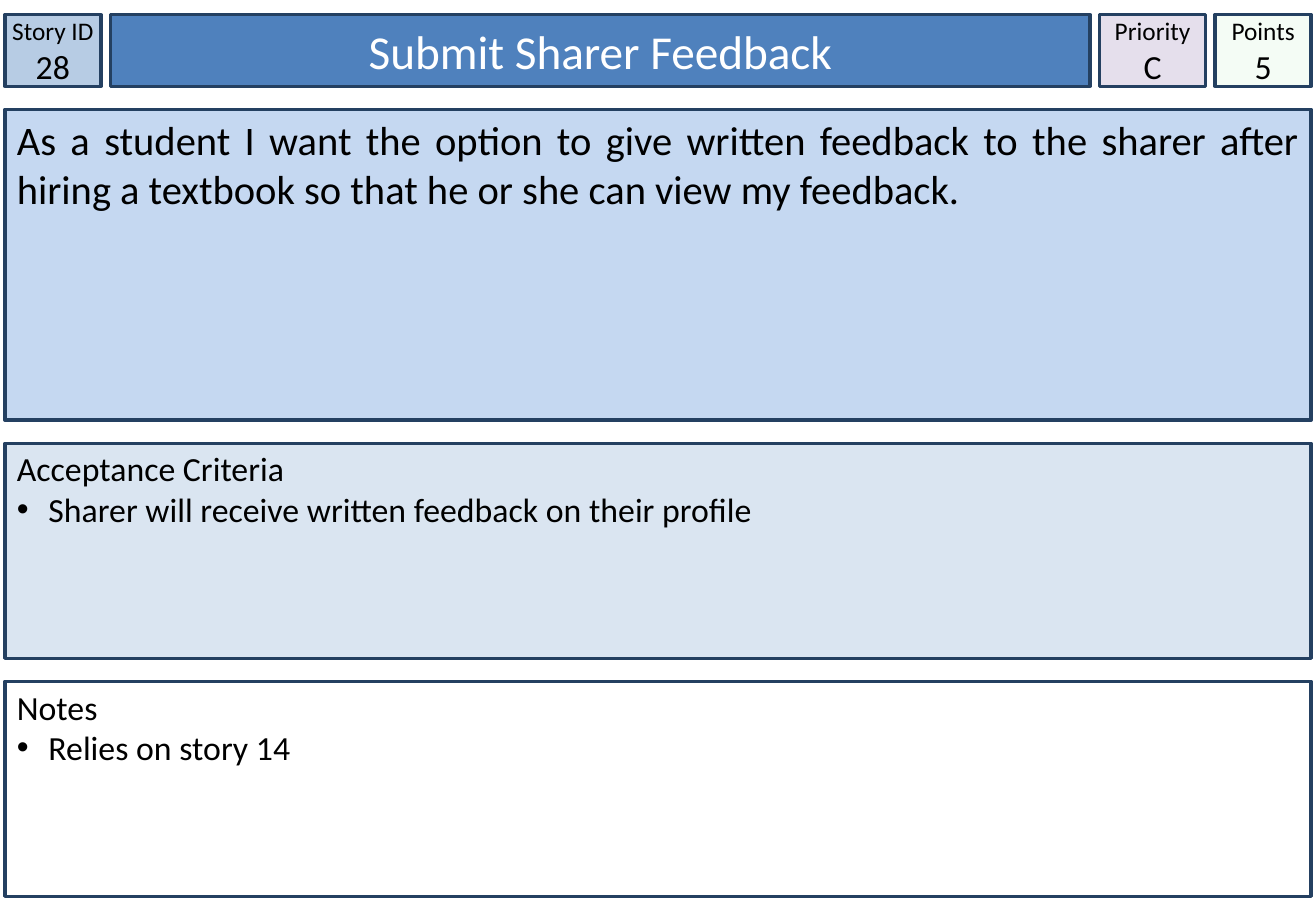
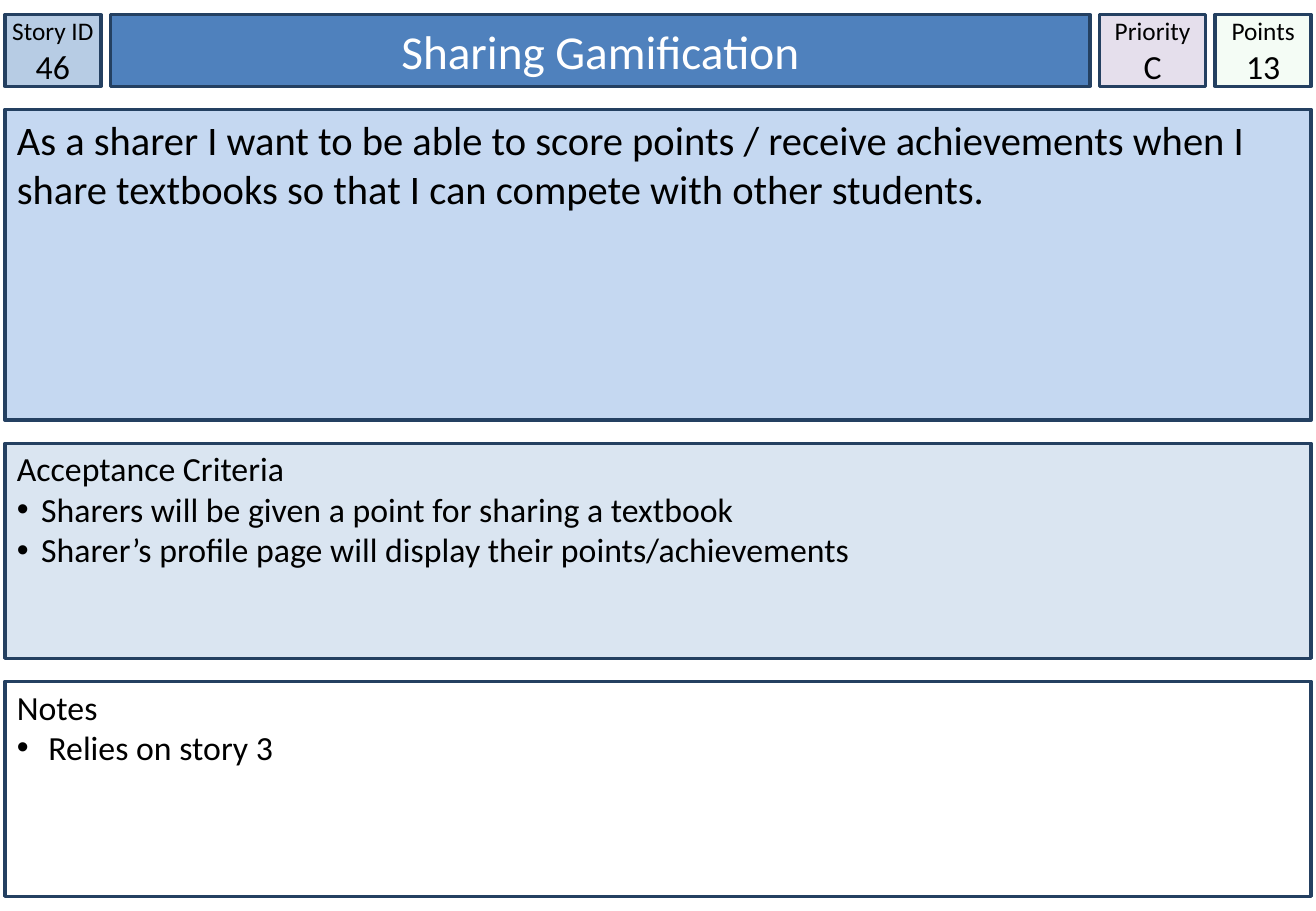
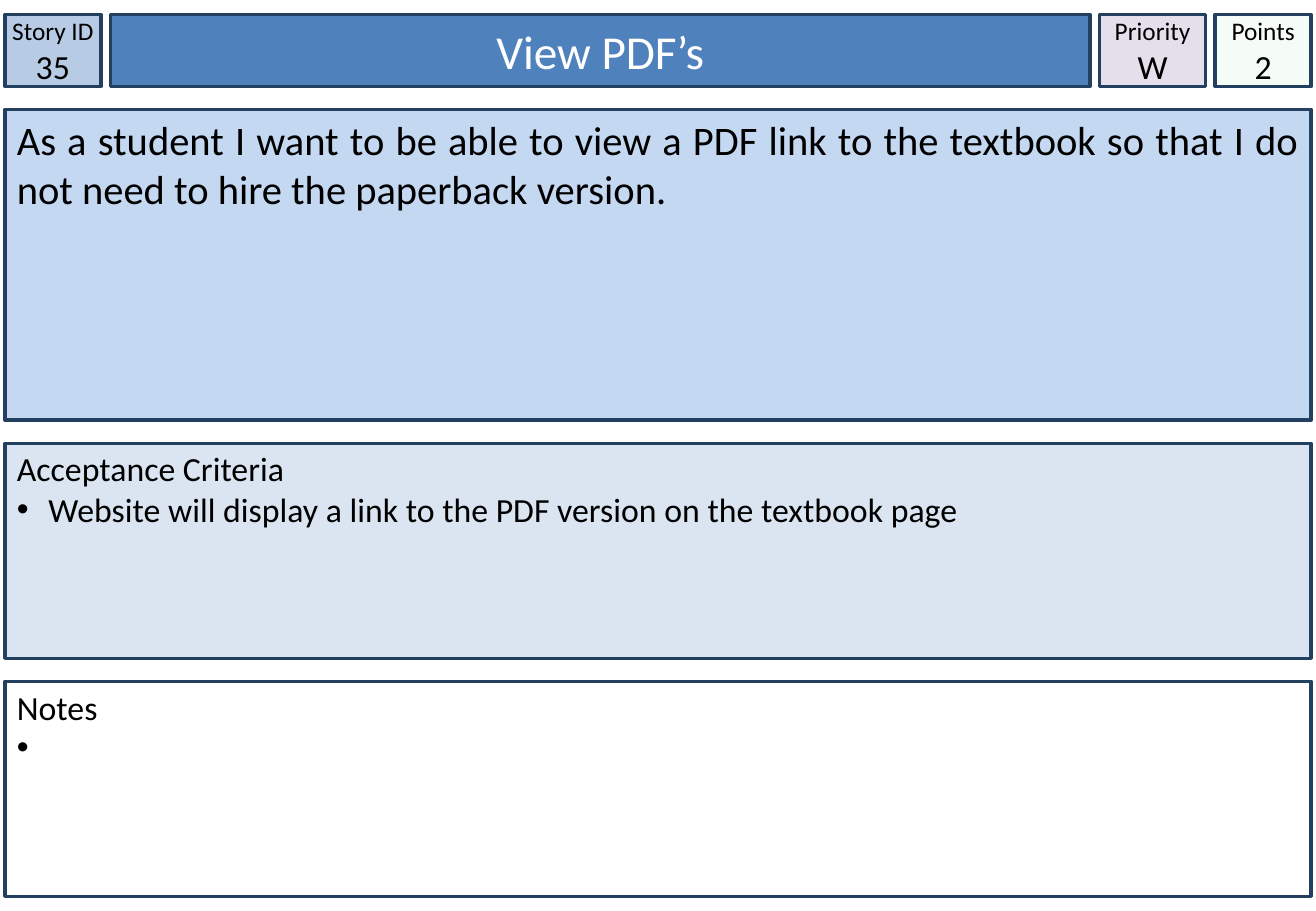
from dataclasses import dataclass
from itertools import accumulate

from lxml.etree import SubElement
from pptx import Presentation
from pptx.dml.color import RGBColor
from pptx.enum.shapes import MSO_SHAPE
from pptx.enum.text import MSO_ANCHOR, PP_ALIGN
from pptx.oxml.ns import qn
from pptx.util import Inches, Pt

PAGE_WIDTH, PAGE_HEIGHT = 10.83, 7.5
MARGIN, TOP = 0.04, 0.12
COLUMN_GAP, ROW_GAP = 0.08, 0.19
FULL_WIDTH = PAGE_WIDTH - 2 * MARGIN
ID_WIDTH, PRIORITY_WIDTH, POINTS_WIDTH = 0.79, 0.87, 0.79
TITLE_WIDTH = FULL_WIDTH - ID_WIDTH - PRIORITY_WIDTH - POINTS_WIDTH - 3 * COLUMN_GAP
COLUMN_WIDTHS = [ID_WIDTH, TITLE_WIDTH, PRIORITY_WIDTH, POINTS_WIDTH]
ROW_HEIGHTS = [0.59, 2.56, 1.77, 1.77]

FONT = "Calibri"
BLACK, WHITE, OUTLINE = "000000", "FFFFFF", "244061"
ID_FILL, TITLE_FILL, PRIORITY_FILL, POINTS_FILL = "B7CCE4", "4F81BD", "E5DFEC", "CCF0CD"
STORY_FILL, CRITERIA_FILL, NOTES_FILL = "C5D8F1", "DAE5F1", "FFFFFF"
POINTS_OPACITY = 0.2
NARROW_INDENT, WIDE_INDENT = 0.2, 0.26


@dataclass(frozen=True)
class Story:
    number: str
    title: str
    priority: str
    points: str
    text: str
    criteria: list[str]
    notes: list[str]
    story_alignment: PP_ALIGN = PP_ALIGN.JUSTIFY
    criteria_indent: float = WIDE_INDENT


@dataclass(frozen=True)
class Area:
    left: float
    top: float
    width: float
    height: float


STORIES = [
    Story(
        "28", "Submit Sharer Feedback", "C", "5",
        "As a student I want the option to give written feedback to the sharer "
        "after hiring a textbook so that he or she can view my feedback.",
        ["Sharer will receive written feedback on their profile"],
        ["Relies on story 14"],
    ),
    Story(
        "46", "Sharing Gamification", "C", "13",
        "As a sharer I want to be able to score points / receive achievements "
        "when I share textbooks so that I can compete with other students.",
        ["Sharers will be given a point for sharing a textbook",
         "Sharer’s profile page will display their points/achievements"],
        ["Relies on story 3"],
        story_alignment=PP_ALIGN.LEFT,
        criteria_indent=NARROW_INDENT,
    ),
    Story(
        "35", "View PDF’s", "W", "2",
        "As a student I want to be able to view a PDF link to the textbook "
        "so that I do not need to hire the paperback version.",
        ["Website will display a link to the PDF version on the textbook page"],
        [" "],
    ),
]


def starts(first: float, sizes: list[float], gap: float) -> list[float]:
    """Return where each of a run of equally spaced parts begins."""
    return list(accumulate((size + gap for size in sizes[:-1]), initial=first))


ROW_TOPS = starts(TOP, ROW_HEIGHTS, ROW_GAP)
HEADER_AREAS = [
    Area(left, TOP, width, ROW_HEIGHTS[0])
    for left, width in zip(starts(MARGIN, COLUMN_WIDTHS, COLUMN_GAP), COLUMN_WIDTHS)
]
PANEL_AREAS = [
    Area(MARGIN, top, FULL_WIDTH, height)
    for top, height in zip(ROW_TOPS[1:], ROW_HEIGHTS[1:])
]


def rgb(value: str) -> RGBColor:
    return RGBColor.from_string(value)


def add_box(page, area: Area, fill: str, lines: list[str], sizes: list[int],
            alignment=PP_ALIGN.CENTER, anchor=MSO_ANCHOR.MIDDLE,
            side_inset: float = 0.1, top_inset: float = 0.05, color: str = BLACK):
    """Draw an outlined rectangle with one paragraph for each line."""
    box = page.shapes.add_shape(
        MSO_SHAPE.RECTANGLE, Inches(area.left), Inches(area.top),
        Inches(area.width), Inches(area.height))
    box.shadow.inherit = False
    box.fill.solid()
    box.fill.fore_color.rgb = rgb(fill)
    box.line.color.rgb = rgb(OUTLINE)
    box.line.width = Pt(2)
    frame = box.text_frame
    frame.word_wrap = True
    frame.vertical_anchor = anchor
    frame.margin_left = frame.margin_right = Inches(side_inset)
    frame.margin_top, frame.margin_bottom = Inches(top_inset), Inches(0.05)
    frame.text = "\n".join(lines)
    for para, size in zip(frame.paragraphs, sizes):
        para.alignment = alignment
        for span in para.runs:
            span.font.name = FONT
            span.font.size = Pt(size)
            span.font.color.rgb = rgb(color)
    return box


def add_badge(page, area: Area, fill: str, label: str, value: str):
    return add_box(page, area, fill, [label, value], [15, 20], side_inset=0)


def set_opacity(box, share: float) -> None:
    color = box.fill._xPr.find(qn("a:solidFill"))[0]
    SubElement(color, qn("a:alpha"), val=str(round(share * 100000)))


def add_bullet(para, indent: float) -> None:
    properties = para._p.get_or_add_pPr()
    properties.set("marL", str(Inches(indent)))
    properties.set("indent", str(-Inches(indent)))
    color = SubElement(properties, qn("a:buClr"))
    SubElement(color, qn("a:srgbClr"), val=BLACK)
    SubElement(properties, qn("a:buFont"), typeface="Arial")
    SubElement(properties, qn("a:buChar"), char="•")


def add_list_panel(page, area: Area, fill: str, heading: str,
                   items: list[str], indent: float) -> None:
    lines = [heading, *items]
    box = add_box(page, area, fill, lines, [20] * len(lines),
                  PP_ALIGN.LEFT, MSO_ANCHOR.TOP, top_inset=0.04)
    for para in box.text_frame.paragraphs[1:]:
        add_bullet(para, indent)


def add_story_card(deck, story: Story) -> None:
    page = deck.slides.add_slide(deck.slide_layouts[6])
    id_area, title_area, priority_area, points_area = HEADER_AREAS
    story_area, criteria_area, notes_area = PANEL_AREAS
    add_badge(page, id_area, ID_FILL, "Story ID", story.number)
    add_box(page, title_area, TITLE_FILL, [story.title], [28], color=WHITE)
    add_badge(page, priority_area, PRIORITY_FILL, "Priority", story.priority)
    points = add_badge(page, points_area, POINTS_FILL, "Points", story.points)
    set_opacity(points, POINTS_OPACITY)
    add_box(page, story_area, STORY_FILL, [story.text], [24],
            story.story_alignment, MSO_ANCHOR.TOP)
    add_list_panel(page, criteria_area, CRITERIA_FILL, "Acceptance Criteria",
                   story.criteria, story.criteria_indent)
    add_list_panel(page, notes_area, NOTES_FILL, "Notes", story.notes, WIDE_INDENT)


def main() -> None:
    deck = Presentation()
    deck.slide_width, deck.slide_height = Inches(PAGE_WIDTH), Inches(PAGE_HEIGHT)
    for story in STORIES:
        add_story_card(deck, story)
    deck.save("out.pptx")


if __name__ == "__main__":
    main()
